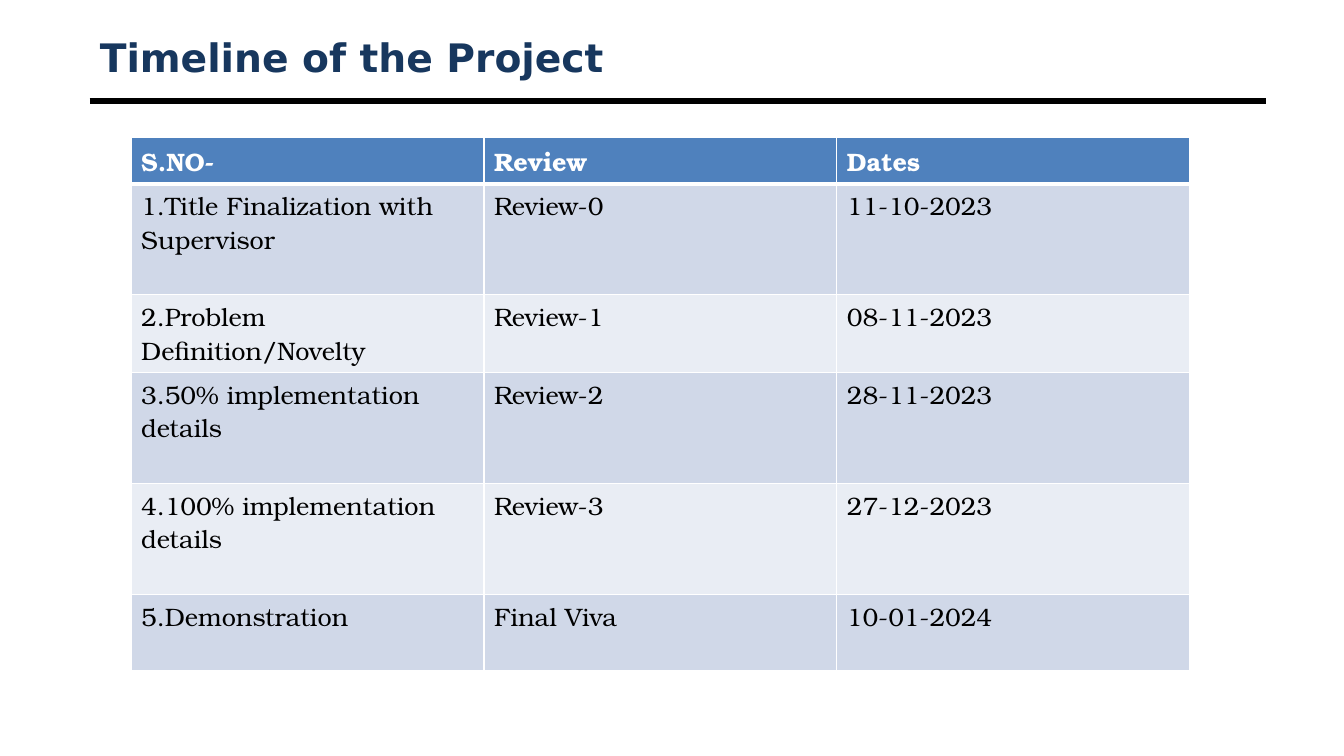
from typing import NamedTuple

from lxml.etree import SubElement
from pptx import Presentation
from pptx.dml.color import RGBColor
from pptx.enum.shapes import MSO_CONNECTOR
from pptx.enum.text import MSO_ANCHOR, PP_ALIGN
from pptx.oxml.ns import qn
from pptx.util import Inches, Pt

NAVY = RGBColor(0x17, 0x37, 0x5E)
BLUE = RGBColor(0x4F, 0x81, 0xBD)
BAND = RGBColor(0xD0, 0xD8, 0xE8)
PALE = RGBColor(0xE9, 0xED, 0xF4)
BLACK = RGBColor(0, 0, 0)
WHITE = RGBColor(255, 255, 255)


class Stage(NamedTuple):
    cells: tuple[str, str, str]
    height: float


STAGES = [
    Stage(("S.NO-", "Review", "Dates"), 0.45),
    Stage(("1.Title Finalization with Supervisor", "Review-0", "11-10-2023"), 1.1),
    Stage(("2.Problem Definition/Novelty", "Review-1", "08-11-2023"), 0.77),
    Stage(("3.50% implementation details", "Review-2", "28-11-2023"), 1.1),
    Stage(("4.100% implementation details", "Review-3", "27-12-2023"), 1.1),
    Stage(("5.Demonstration", "Final Viva", "10-01-2024"), 0.76),
]


def style(font, name: str, size: int, color: RGBColor, bold: bool) -> None:
    font.name = name
    font.size = Pt(size)
    font.bold = bold
    font.color.rgb = color


def border(cell, side: str, width: float) -> None:
    props = cell._tc.get_or_add_tcPr()
    line = SubElement(props, qn(f"a:ln{side}"), w=str(Pt(width)))
    fill = SubElement(line, qn("a:solidFill"))
    SubElement(fill, qn("a:srgbClr"), val=str(WHITE))


def add_title(slide, text: str) -> None:
    title = slide.shapes.title
    title.left, title.top = Inches(0.89), Inches(0.3)
    title.width, title.height = Inches(11.67), Inches(0.53)
    frame = title.text_frame
    frame.text = text
    frame.vertical_anchor = MSO_ANCHOR.MIDDLE
    para = frame.paragraphs[0]
    para.alignment = PP_ALIGN.LEFT
    style(para.font, "DejaVu Sans", 28, NAVY, True)


def add_rule(slide) -> None:
    rule = slide.shapes.add_connector(
        MSO_CONNECTOR.STRAIGHT, Inches(0.89), Inches(1), Inches(12.56), Inches(1)
    )
    rule.line.color.rgb = BLACK
    rule.line.width = Pt(4.5)
    SubElement(rule._element.spPr, qn("a:effectLst"))


def add_stages(slide, stages: list[Stage]) -> None:
    total = sum(stage.height for stage in stages)
    table = slide.shapes.add_table(
        len(stages), 3, Inches(1.3), Inches(1.36), Inches(10.5), Inches(total)
    ).table
    for row, stage in enumerate(stages):
        table.rows[row].height = Inches(stage.height)
        head = row == 0
        fill = BLUE if head else (PALE, BAND)[row % 2]
        for col, text in enumerate(stage.cells):
            cell = table.cell(row, col)
            for side in "LRTB":
                thick = (head and side == "B") or (row == 1 and side == "T")
                border(cell, side, 3 if thick else 1)
            cell.fill.solid()
            cell.fill.fore_color.rgb = fill
            cell.text = text
            font = cell.text_frame.paragraphs[0].font
            style(font, "TeX Gyre Bonum", 18, WHITE if head else BLACK, head)


deck = Presentation()
deck.slide_width, deck.slide_height = Inches(13.33), Inches(7.5)
slide = deck.slides.add_slide(deck.slide_layouts[5])
add_rule(slide)
add_title(slide, "Timeline of the Project")
add_stages(slide, STAGES)
deck.save("out.pptx")
